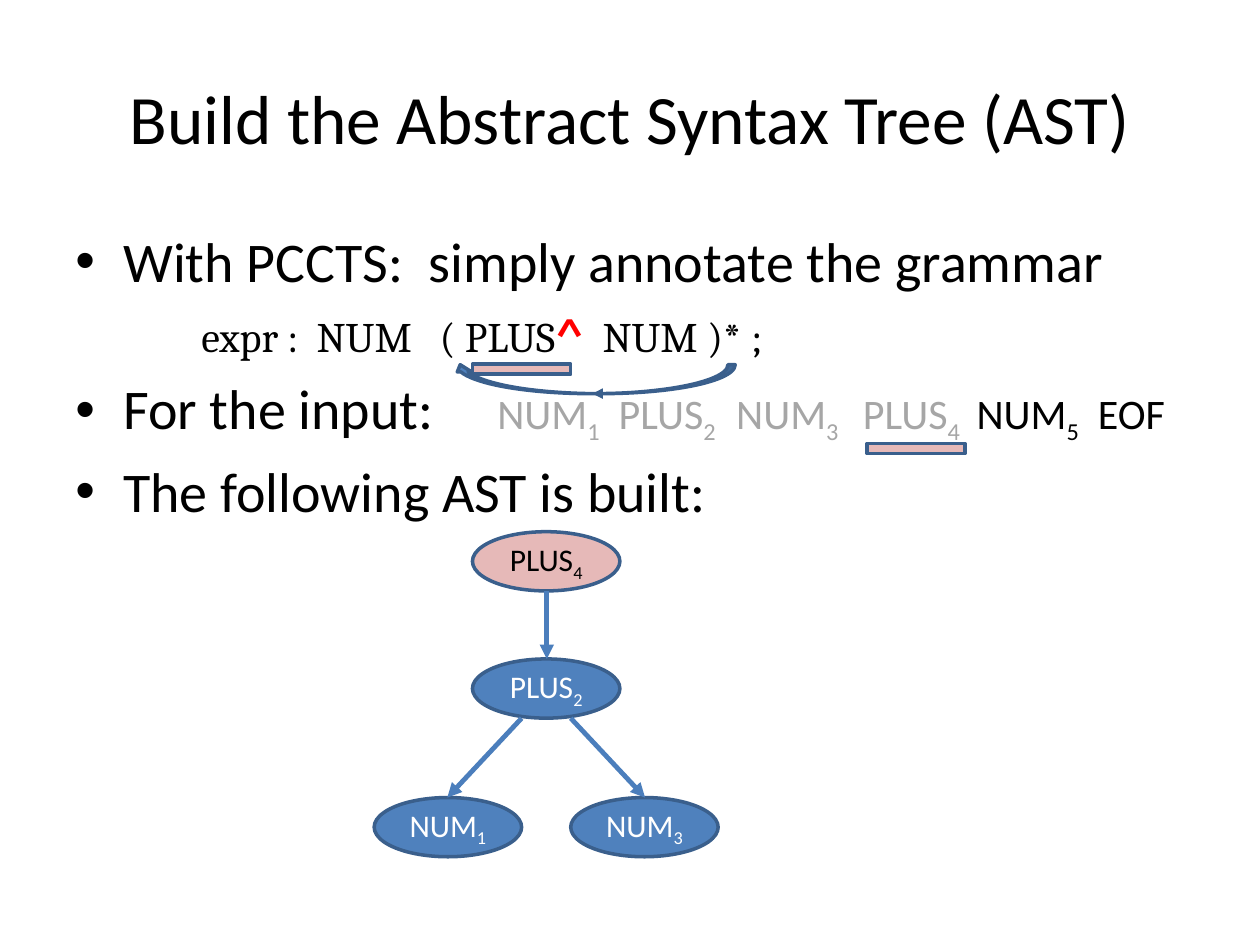
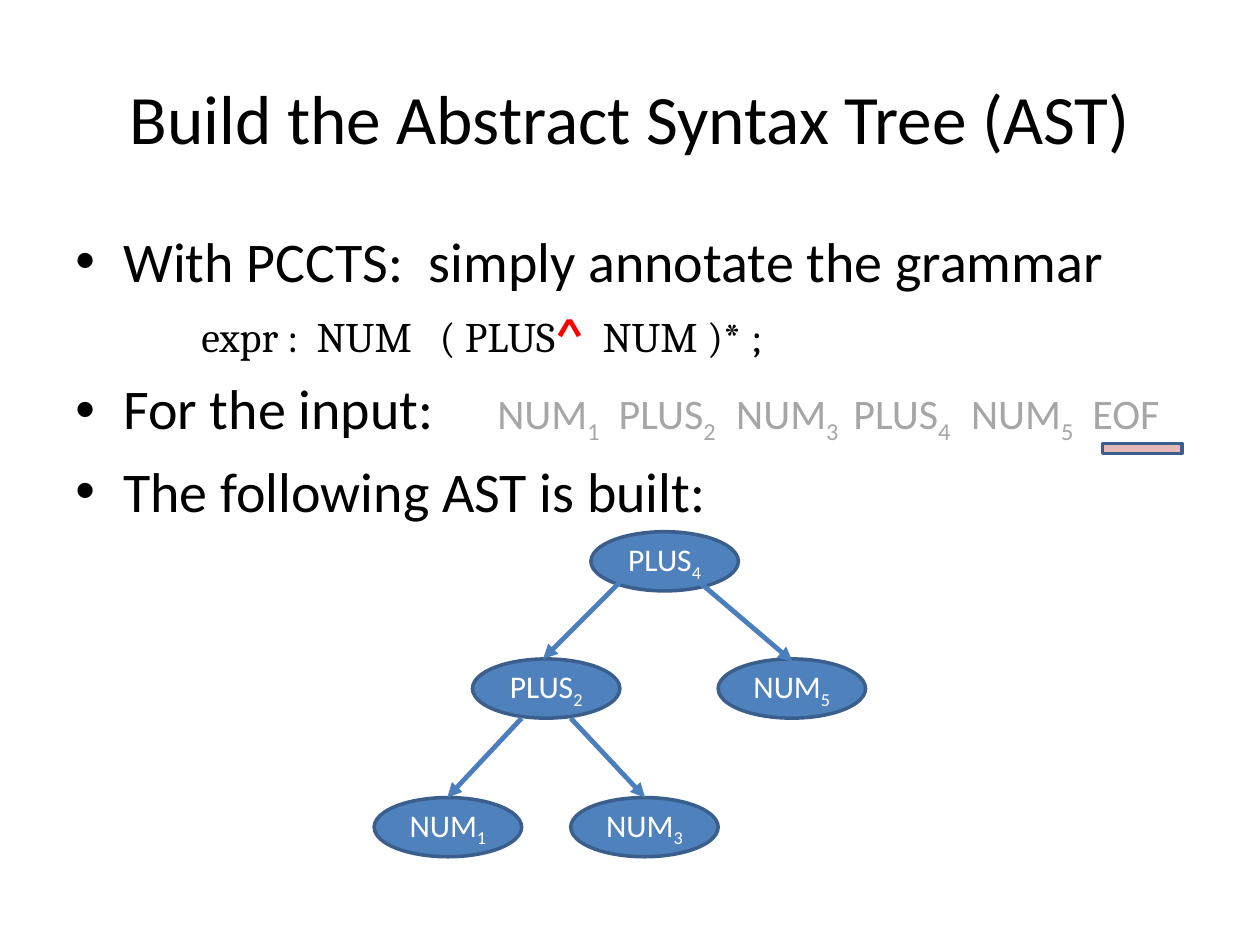
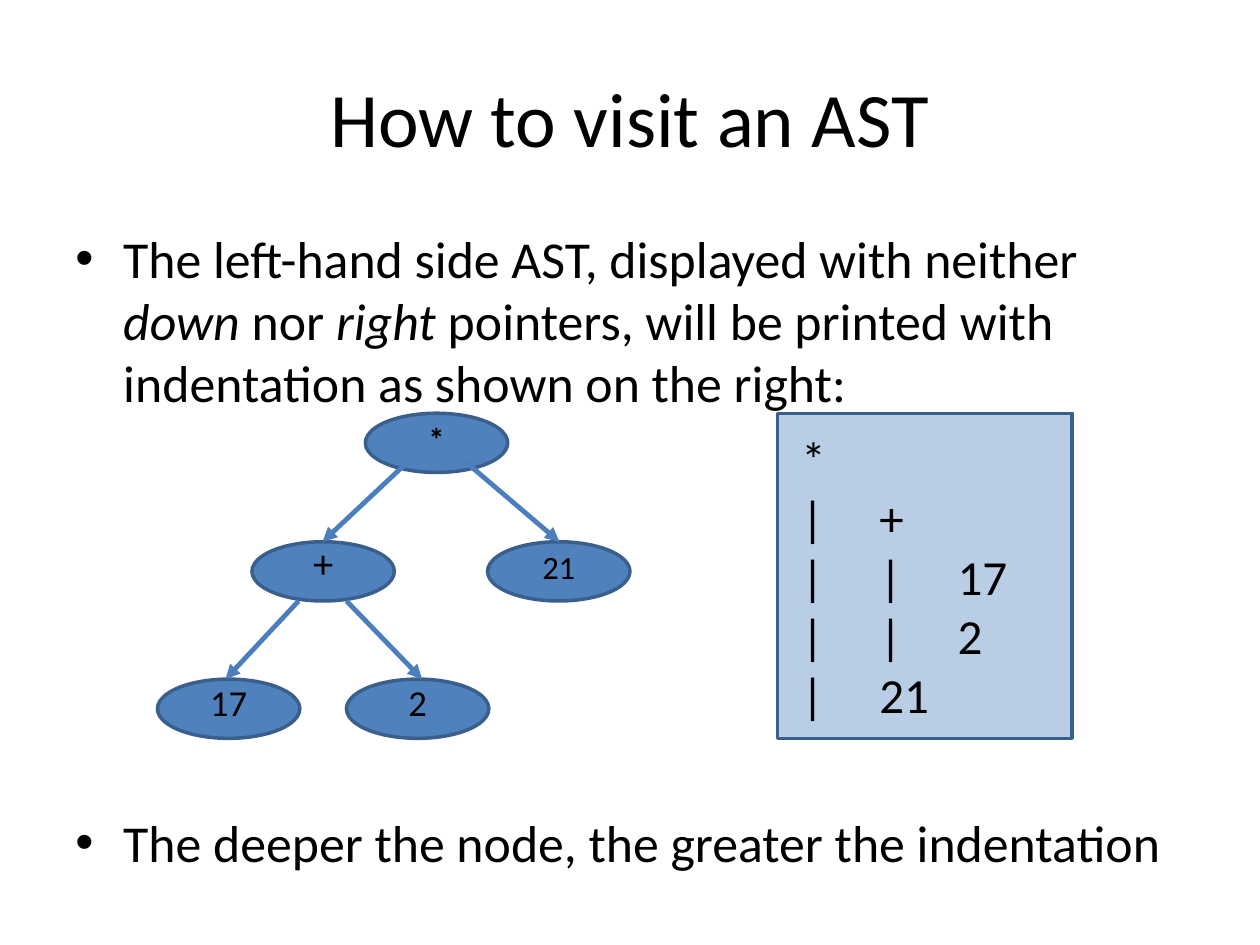
from lxml.etree import SubElement as Sub
from pptx import Presentation
from pptx.dml.color import RGBColor
from pptx.enum.shapes import MSO_CONNECTOR as Conn, MSO_SHAPE as Shape
from pptx.enum.text import MSO_ANCHOR as Anchor, PP_ALIGN as Align
from pptx.oxml.ns import qn
from pptx.util import Inches, Pt

COLORS = {
    "text": "000000", "light": "FFFFFF", "done": "A6A6A6", "caret": "FF0000",
    "node": "4F81BD", "edge": "3A5F8C", "arrow": "4B7EBC",
    "mark": "E6B9B8", "panel": "B9CDE5",
}
NODE_H = 0.47
BODY = {"size": 32}
GRAMMAR = {"size": 24, "name": "Cambria"}
TOKEN = {"size": 24}
DONE = {"size": 24, "color": "done"}


def rgb(key):
    return RGBColor.from_string(COLORS[key])


class Deck:
    def __init__(self):
        self.prs = Presentation()
        self.prs.slide_width, self.prs.slide_height = Inches(10), Inches(7.5)
        self.s = None

    def slide(self, title, size):
        self.s = self.prs.slides.add_slide(self.prs.slide_layouts[6])
        tf = self.box(0.5, 0.3, 9, 1.25)
        tf.vertical_anchor = Anchor.MIDDLE
        p = tf.paragraphs[0]
        p.alignment = Align.CENTER
        self.run(p, title, size=size)

    def box(self, x, y, w, h):
        tf = self.s.shapes.add_textbox(*map(Inches, (x, y, w, h))).text_frame
        tf.word_wrap = True
        return tf

    def run(self, p, text, color="text", baseline=0, spacing=0, **style):
        r = p.add_run()
        r.text = text
        values = {"name": "Calibri", **style}
        values["size"] = Pt(values["size"])
        for key, value in values.items():
            setattr(r.font, key, value)
        r.font.color.rgb = rgb(color)
        rPr = r._r.get_or_add_rPr()
        for key, value in {"baseline": baseline, "spc": spacing}.items():
            if value:
                rPr.set(key, str(value))

    def tokens(self, p, text, **style):
        for i, part in enumerate(text.split("~")):
            if part:
                self.run(p, part, baseline=-25000 if i % 2 else 0, **style)

    def body(self, w, paragraphs):
        tf = self.box(0.5, 1.75, w, 4.95)
        for i, (bullet, before, runs) in enumerate(paragraphs):
            p = tf.add_paragraph() if i else tf.paragraphs[0]
            pPr = p._p.get_or_add_pPr()
            margin, indent = (0.38, -0.38) if bullet else (1.25, -0.25)
            pPr.set("marL", str(Inches(margin)))
            pPr.set("indent", str(Inches(indent)))
            if before:
                p.space_before = Pt(before)
            else:
                Sub(Sub(pPr, qn("a:spcBef")), qn("a:spcPct"), val="20000")
            if bullet:
                Sub(pPr, qn("a:buFont"), typeface="Arial")
                Sub(pPr, qn("a:buChar"), char="•")
            else:
                Sub(pPr, qn("a:buNone"))
            for text, style in runs:
                self.tokens(p, text, **style)

    def shape(self, kind, x, y, w, h, fill):
        sp = self.s.shapes.add_shape(kind, *map(Inches, (x, y, w, h)))
        sp.shadow.inherit = False
        sp.fill.solid()
        sp.fill.fore_color.rgb = rgb(fill)
        sp.line.color.rgb = rgb("edge")
        sp.line.width = Pt(2)
        return sp

    def node(self, x, y, text, w=1.17, fill="node", anchor=Anchor.MIDDLE, **style):
        tf = self.shape(Shape.OVAL, x, y, w, NODE_H, fill).text_frame
        tf.word_wrap = False
        tf.vertical_anchor = anchor
        p = tf.paragraphs[0]
        p.alignment = Align.CENTER
        self.tokens(p, text, **{"size": 18, "color": "light", **style})

    def marker(self, x, y, w):
        self.shape(Shape.RECTANGLE, x, y, w, 0.08, "mark")

    def loop_arrow(self, x, y, w, h):
        sp = self.shape(Shape.CURVED_LEFT_ARROW, x, y, w, h, "node")
        sp.rotation = 90
        Sub(sp.line._get_or_add_ln(), qn("a:headEnd"), type="triangle")

    def arrow(self, x1, y1, x2, y2):
        c = self.s.shapes.add_connector(Conn.STRAIGHT, *map(Inches, (x1, y1, x2, y2)))
        c.line.color.rgb = rgb("arrow")
        c.line.width = Pt(2.75)
        Sub(c.line._get_or_add_ln(), qn("a:tailEnd"), type="triangle")
        Sub(c._element.spPr, qn("a:effectLst"))

    def panel(self, x, y, w, h, lines, step):
        tf = self.shape(Shape.RECTANGLE, x, y, w, h, "panel").text_frame
        tf.vertical_anchor = Anchor.MIDDLE
        tf.margin_left = Inches(0.19)
        for i, line in enumerate(lines):
            p = tf.add_paragraph() if i else tf.paragraphs[0]
            p.alignment = Align.LEFT
            tabs = Sub(p._p.get_or_add_pPr(), qn("a:tabLst"))
            for n in (1, 2):
                Sub(tabs, qn("a:tab"), pos=str(Inches(n * step)), algn="l")
            self.run(p, line, size=28)

    def build_slide(self, inputs):
        self.slide("Build the Abstract Syntax Tree (AST)", 39.6)
        self.body(9.27, [
            (True, 0, [("With PCCTS:  simply annotate the grammar", BODY)]),
            (False, 0, [
                ("expr :  NUM   ( PLUS", GRAMMAR),
                ("^", {**GRAMMAR, "size": 28, "color": "caret", "bold": True}),
                ("  NUM )", GRAMMAR),
                ("*", {**GRAMMAR, "bold": True}),
                (" ;", GRAMMAR),
            ]),
            (True, 0, [("For the input:", BODY), (" ", {**BODY, "spacing": 2900}), *inputs]),
            (True, 0, [("The following AST is built:", BODY)]),
        ])
        for x, y, text in ((4.53, 6.33, "NUM~3"), (2.97, 6.33, "NUM~1"), (3.75, 5.23, "PLUS~2")):
            self.node(x, y, text)
        for x1, x2 in ((4.14, 3.55), (4.53, 5.12)):
            self.arrow(x1, 5.7, x2, 6.33)


deck = Deck()

deck.build_slide([("NUM~1~  PLUS~2  ~ NUM~3 ~  PLUS~4   ", DONE), ("NUM~5~  EOF", TOKEN)])
deck.node(3.75, 4.22, "PLUS~4", fill="mark", color="text")
deck.loop_arrow(4.6, 1.89, 0.23, 2.24)
deck.marker(3.75, 2.89, 0.78)
deck.marker(6.88, 3.52, 0.78)
deck.arrow(4.34, 4.69, 4.34, 5.23)

deck.build_slide([("NUM~1~  PLUS~2  ~ NUM~3 ~ PLUS~4  ~ NUM~5~  EOF", DONE)])
deck.node(5.7, 5.23, "NUM~5")
deck.node(4.69, 4.22, "PLUS~4")
deck.marker(8.75, 3.52, 0.63)
deck.arrow(4.92, 4.62, 4.31, 5.23)
deck.arrow(5.55, 4.62, 6.29, 5.25)

deck.slide("How to visit an AST", 44)
plain = {"size": 29.6}
italic = {**plain, "italic": True}
deck.body(9, [
    (True, 0, [
        ("The left-hand side AST, displayed with neither ", plain),
        ("down", italic),
        (" nor ", plain),
        ("right", italic),
        (" pointers, will be printed with indentation as shown on the right:", plain),
    ]),
    (True, 227, [("The deeper the node, the greater the indentation", plain)]),
])
for x, y, text, size, bold in (
    (3.87, 4.3, "21", 32, False),
    (2.75, 5.39, "2", 36, False),
    (1.25, 5.39, "17", 36, False),
    (2, 4.3, "+", 40, False),
    (2.9, 3.28, "*", 32, True),
):
    deck.node(x, y, "~" + text, w=1.13, anchor=Anchor.BOTTOM, size=size, color="text", bold=bold)
deck.panel(6.17, 3.28, 2.34, 2.58, ["*", "|\t+", "|\t|\t17", "|\t|\t2", "|\t21"], 0.62)
for ends in (
    (3.7, 3.67, 4.44, 4.3),
    (2.75, 4.77, 3.35, 5.39),
    (2.37, 4.77, 1.79, 5.39),
    (3.21, 3.69, 2.56, 4.3),
):
    deck.arrow(*ends)

deck.prs.save("out.pptx")
